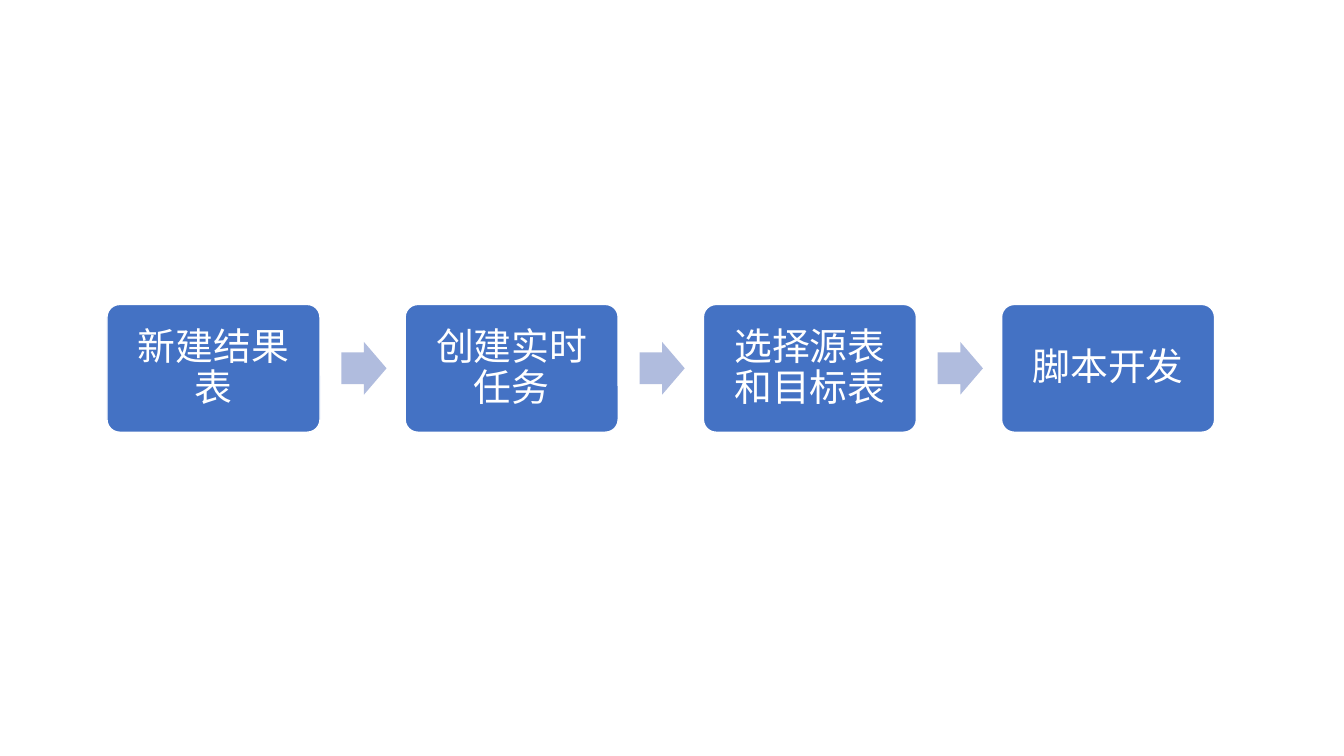
from pptx import Presentation
from pptx.dml.color import RGBColor
from pptx.enum.shapes import MSO_SHAPE
from pptx.enum.text import MSO_ANCHOR, PP_ALIGN
from pptx.util import Pt

ROUND_RECT = MSO_SHAPE.ROUNDED_RECTANGLE
RIGHT_ARROW = MSO_SHAPE.RIGHT_ARROW
MIDDLE = MSO_ANCHOR.MIDDLE
CENTER = PP_ALIGN.CENTER

BLUE = RGBColor(0x44, 0x72, 0xC4)
PALE_BLUE = RGBColor(0xB0, 0xBC, 0xDE)
WHITE = RGBColor(0xFF, 0xFF, 0xFF)

STEPS = ["新建结果表", "创建实时任务", "选择源表和目标表", "脚本开发"]
LEFT, MID_Y, PITCH = 76.4, 263.1, 213
STEP_W, STEP_H = 152.2, 91.3
ARROW_W, ARROW_H, ARROW_DX = 32.3, 37.7, 167.4


def add_text(tf, text, size=27, font="Calibri", color=WHITE, margin=8):
    tf.word_wrap = True
    tf.vertical_anchor = MIDDLE
    tf.margin_left = tf.margin_right = Pt(margin)
    tf.margin_top = tf.margin_bottom = Pt(margin)
    p = tf.paragraphs[0]
    p.alignment = CENTER
    p.line_spacing = 0.9
    p.space_after = Pt(size * 0.35)
    r = p.add_run()
    r.text = text
    r.font.size = Pt(size)
    r.font.name = font
    r.font.color.rgb = color


prs = Presentation()
prs.slide_width, prs.slide_height = Pt(960), Pt(540)
s = prs.slides.add_slide(prs.slide_layouts[6])

for i, step in enumerate(STEPS):
    x = LEFT + i * PITCH
    sp = s.shapes.add_shape(ROUND_RECT, Pt(x), Pt(MID_Y - STEP_H / 2),
                            Pt(STEP_W), Pt(STEP_H))
    sp.shadow.inherit = False
    sp.adjustments[0] = 0.1
    sp.fill.solid()
    sp.fill.fore_color.rgb = BLUE
    sp.line.color.rgb = WHITE
    sp.line.width = Pt(1)
    add_text(sp.text_frame, step)

    if i < len(STEPS) - 1:
        arrow = s.shapes.add_shape(RIGHT_ARROW, Pt(x + ARROW_DX),
                                   Pt(MID_Y - ARROW_H / 2),
                                   Pt(ARROW_W), Pt(ARROW_H))
        arrow.shadow.inherit = False
        arrow.adjustments[0] = 0.6
        arrow.adjustments[1] = 0.5
        arrow.fill.solid()
        arrow.fill.fore_color.rgb = PALE_BLUE
        arrow.line.fill.background()

prs.save("out.pptx")
